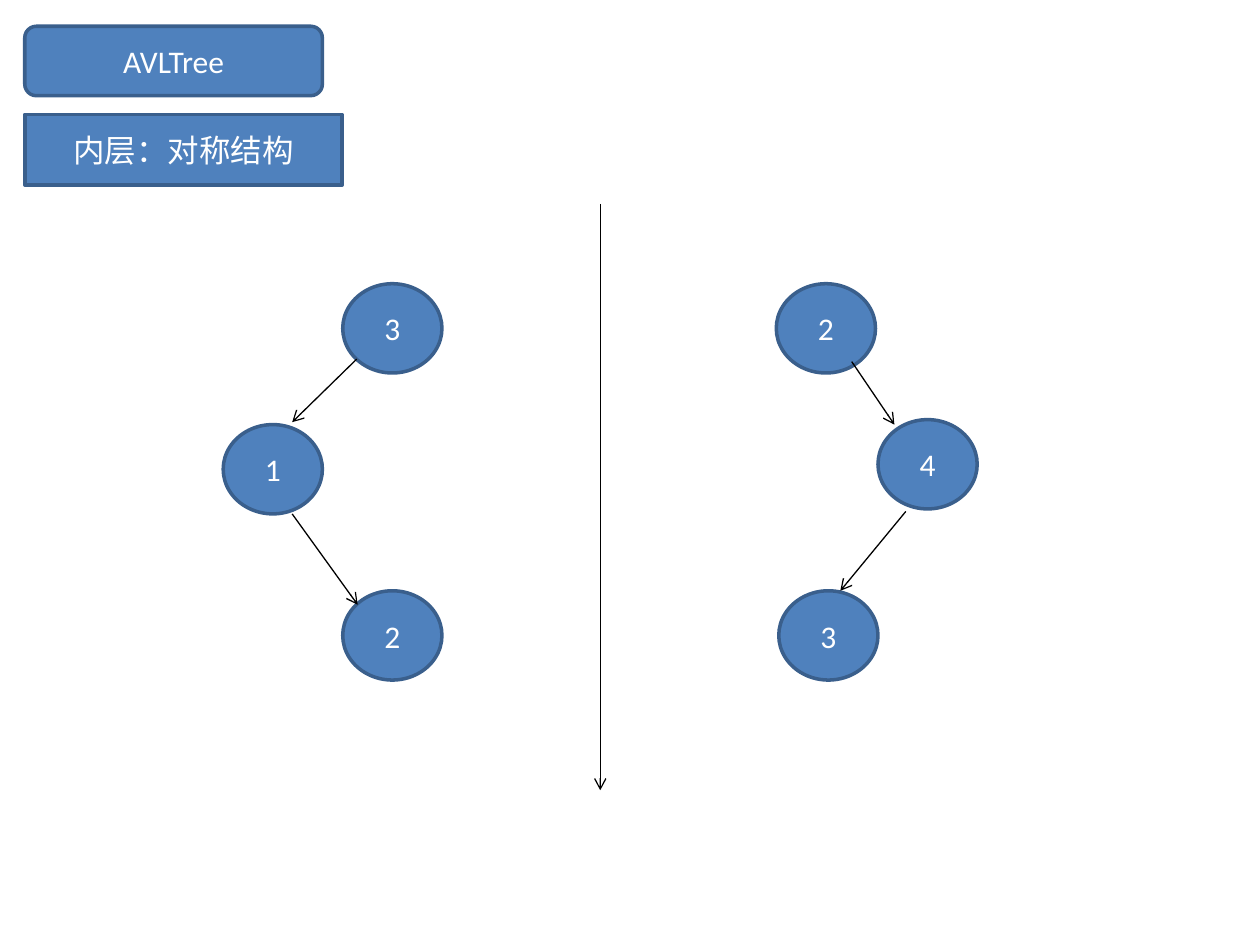
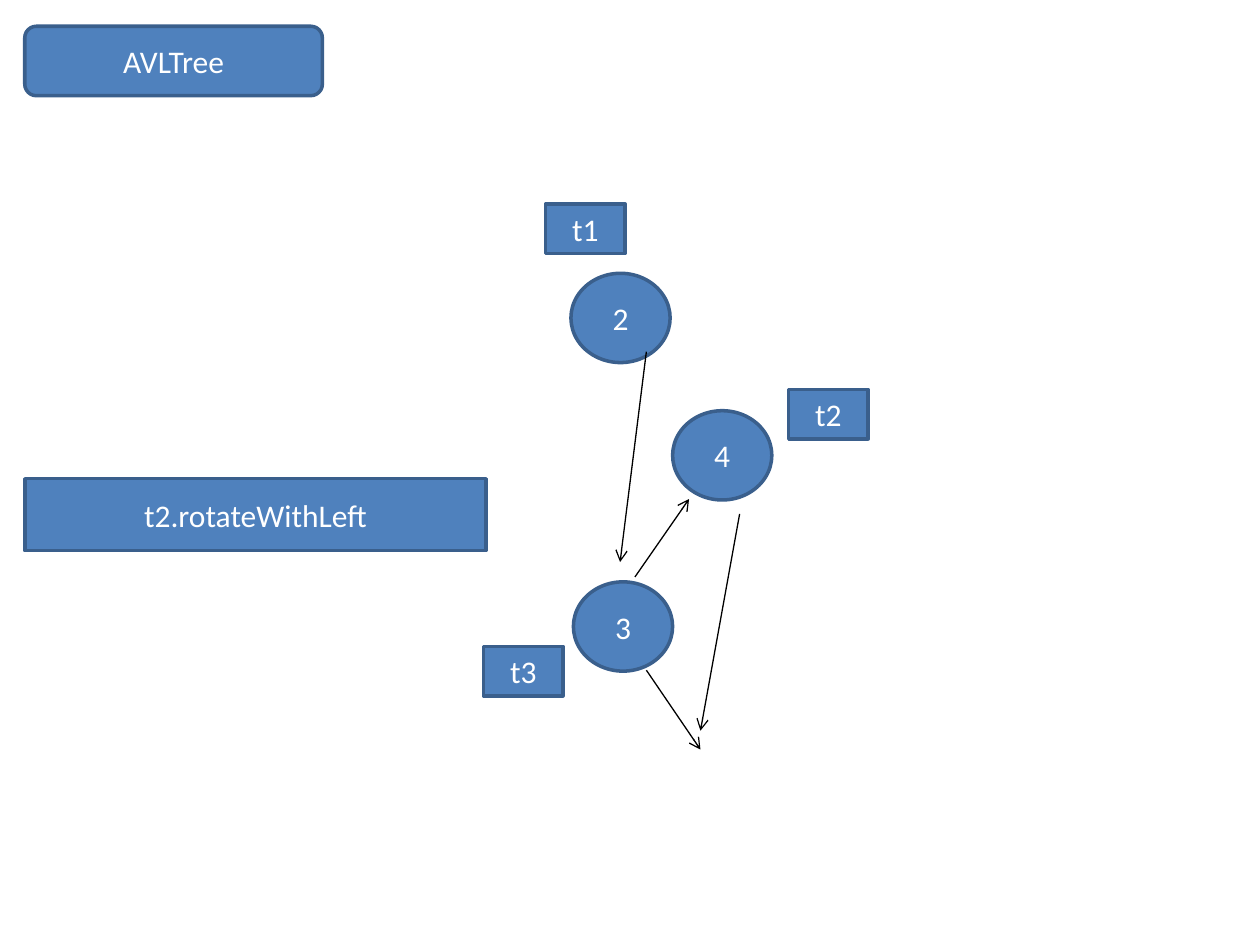
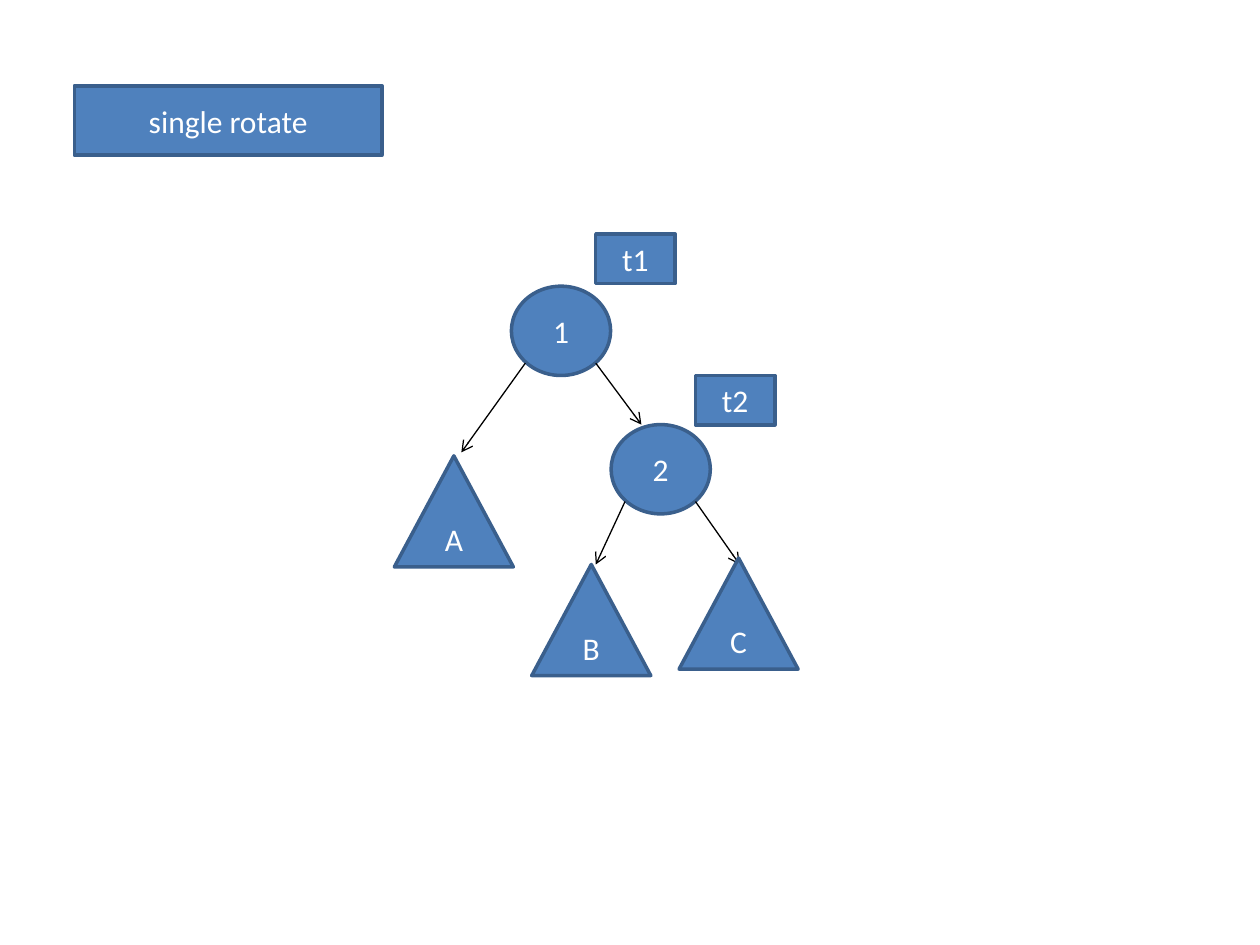
from lxml.etree import SubElement
from pptx import Presentation
from pptx.dml.color import RGBColor
from pptx.enum.shapes import MSO_CONNECTOR, MSO_SHAPE
from pptx.enum.text import MSO_ANCHOR, PP_ALIGN
from pptx.oxml.ns import qn
from pptx.util import Cm, Pt

FILL, OUTLINE, TEXT, ARROW = "4F81BD", "3A5F8C", "FFFFFF", "000000"
FONT, FONT_SIZE = "Calibri", 18
NODE_SIZE = (2, 1.8)
TAG_SIZE = (1.6, 1)
SUBTREE_SIZE = (2.4, 2.24)
MARGIN = 0.5


def color(hex_code):
    return RGBColor.from_string(hex_code)


def add_block(slide, kind, label, position, size):
    """Add a filled, outlined preset shape with a centred label."""
    block = slide.shapes.add_shape(kind, *map(Cm, (*position, *size)))
    block.shadow.inherit = False
    block.fill.solid()
    block.fill.fore_color.rgb = color(FILL)
    block.line.color.rgb = color(OUTLINE)
    block.line.width = Pt(2)
    frame = block.text_frame
    frame.text = label
    frame.vertical_anchor = MSO_ANCHOR.MIDDLE
    paragraph = frame.paragraphs[0]
    paragraph.alignment = PP_ALIGN.CENTER
    font = paragraph.runs[0].font
    font.name, font.size = FONT, Pt(FONT_SIZE)
    font.color.rgb = color(TEXT)


def add_title(slide):
    add_block(slide, MSO_SHAPE.ROUNDED_RECTANGLE, "AVLTree",
              (MARGIN, 0.53), (6, 1.4))


def add_caption(slide, label, position, size):
    add_block(slide, MSO_SHAPE.RECTANGLE, label, position, size)


def add_nodes(slide, *nodes):
    for label, *position in nodes:
        add_block(slide, MSO_SHAPE.OVAL, label, position, NODE_SIZE)


def add_tags(slide, *tags):
    for label, *position in tags:
        add_block(slide, MSO_SHAPE.RECTANGLE, label, position, TAG_SIZE)


def add_subtrees(slide, *subtrees):
    for label, *position in subtrees:
        add_block(slide, MSO_SHAPE.ISOSCELES_TRIANGLE, label, position,
                  SUBTREE_SIZE)


def add_arrows(slide, *arrows):
    """Add an arrow for each (start x, start y, end x, end y)."""
    for ends in arrows:
        arrow = slide.shapes.add_connector(MSO_CONNECTOR.STRAIGHT,
                                           *map(Cm, ends))
        arrow.line.color.rgb = color(ARROW)
        arrow.line.width = Pt(0.75)
        SubElement(arrow.line._get_or_add_ln(), qn("a:tailEnd"), type="arrow")
        SubElement(arrow._element.spPr, qn("a:effectLst"))


def build_symmetry(slide):
    add_title(slide)
    add_caption(slide, "内层：对称结构", (MARGIN, 2.31), (6.4, 1.42))
    add_nodes(slide,
              ("3", 6.91, 5.72), ("1", 4.5, 8.56), ("2", 6.91, 11.91),
              ("2", 15.65, 5.72), ("4", 17.7, 8.46), ("3", 15.7, 11.91))
    add_arrows(slide,
               (7.19, 7.24, 5.89, 8.51), (5.89, 10.36, 7.21, 12.19),
               (17.17, 7.29, 18.03, 8.56), (18.26, 10.31, 16.94, 11.91),
               (12.1, 4.11, 12.1, 15.93))


def build_left_rotation(slide):
    add_title(slide)
    add_caption(slide, "t2.rotateWithLeft", (MARGIN, 9.65), (9.3, 1.45))
    add_nodes(slide, ("2", 11.51, 5.51), ("4", 13.56, 8.28),
              ("3", 11.56, 11.73))
    add_tags(slide, ("t1", 11, 4.11), ("t2", 15.9, 7.85), ("t3", 9.75, 13.03))
    add_arrows(slide,
               (13.03, 7.09, 12.5, 11.33), (12.8, 11.63, 13.89, 10.06),
               (14.91, 10.36, 14.12, 14.73), (13.03, 13.51, 14.12, 15.11))


def build_single_rotation(slide):
    add_caption(slide, "single rotate", (1.5, 1.73), (6.2, 1.4))
    add_nodes(slide, ("1", 10.31, 5.77), ("2", 12.32, 8.56))
    add_tags(slide, ("t1", 12.01, 4.72), ("t2", 14.02, 7.57))
    add_arrows(slide,
               (10.59, 7.32, 9.3, 9.12), (12.01, 7.32, 12.93, 8.56),
               (12.6, 10.11, 12.01, 11.38), (14.02, 10.11, 14.91, 11.38))
    add_subtrees(slide, ("A", 7.95, 9.19), ("B", 10.72, 11.38),
                 ("C", 13.69, 11.25))


def main():
    deck = Presentation()
    deck.slide_width, deck.slide_height = Cm(25.4), Cm(19.05)
    blank = deck.slide_layouts[6]
    for build in (build_symmetry, build_left_rotation, build_single_rotation):
        build(deck.slides.add_slide(blank))
    deck.save("out.pptx")


if __name__ == "__main__":
    main()
